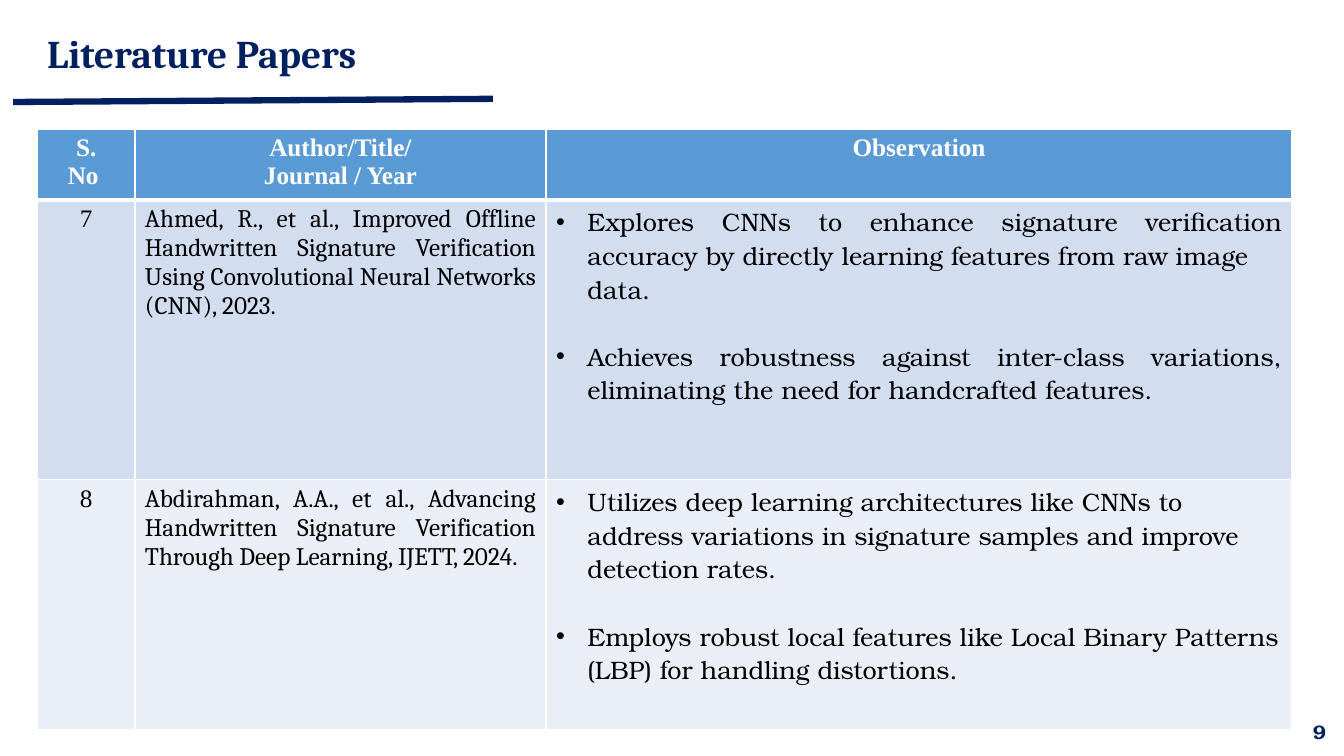
from lxml import etree
from pptx import Presentation
from pptx.dml.color import RGBColor
from pptx.enum.shapes import MSO_CONNECTOR
from pptx.enum.text import MSO_ANCHOR, PP_ALIGN
from pptx.oxml.ns import qn
from pptx.util import Cm, Pt

STRAIGHT = MSO_CONNECTOR.STRAIGHT
MIDDLE = MSO_ANCHOR.MIDDLE
LEFT, CENTER, RIGHT, JUSTIFY = (
    PP_ALIGN.LEFT, PP_ALIGN.CENTER, PP_ALIGN.RIGHT, PP_ALIGN.JUSTIFY)

COLORS = {
    "navy": "002060", "white": "FFFFFF", "black": "000000",
    "header": "5B9BD5", "odd": "D2DEEF", "even": "EAEFF7",
}
SERIF, HEADING, BODY = "Times New Roman", "Cambria", "TeX Gyre Bonum"
BULLET_INDENT = Cm(0.79)
BULLET_GAP = Pt(24)


def rgb(name):
    return RGBColor.from_string(COLORS[name])


class SlideBuilder:
    def __init__(self, slide):
        self.slide = slide

    def add_words(self, paragraph, words, font, size=18, color="black", bold=False,
                  **layout):
        run = paragraph.add_run()
        run.text = words
        for name, value in {"name": font, "size": Pt(size), "bold": bold}.items():
            setattr(run.font, name, value)
        run.font.color.rgb = rgb(color)
        for name, value in layout.items():
            setattr(paragraph, name, value)

    def label(self, box, words, font, size, **layout):
        frame = self.slide.shapes.add_textbox(*map(Cm, box)).text_frame
        frame.word_wrap = True
        frame.vertical_anchor = MIDDLE
        self.add_words(frame.paragraphs[0], words, font, size, "navy", True, **layout)

    def rule(self, start, end, width):
        line = self.slide.shapes.add_connector(STRAIGHT, *map(Cm, start + end))
        line.line.color.rgb = rgb("navy")
        line.line.width = Pt(width)
        etree.SubElement(line._element.spPr, qn("a:effectLst"))

    def table(self, corner, columns, rows):
        size = Cm(sum(columns)), Cm(sum(rows))
        grid = self.slide.shapes.add_table(
            len(rows), len(columns), *map(Cm, corner), *size).table
        for column, width in zip(grid.columns, columns):
            column.width = Cm(width)
        for row, height in zip(grid.rows, rows):
            row.height = Cm(height)
        return grid

    def style_cell(self, cell, fill, top=1, bottom=1):
        """Draw white borders, then fill the cell."""
        properties = cell._tc.get_or_add_tcPr()
        for side, points in {"L": 1, "R": 1, "T": top, "B": bottom}.items():
            border = etree.SubElement(properties, qn(f"a:ln{side}"), w=str(Pt(points)))
            solid = etree.SubElement(border, qn("a:solidFill"))
            etree.SubElement(solid, qn("a:srgbClr"), val=COLORS["white"])
        cell.fill.solid()
        cell.fill.fore_color.rgb = rgb(fill)

    def cell_lines(self, cell, lines, font, **style):
        frame = cell.text_frame
        for index, words in enumerate(lines):
            paragraph = frame.add_paragraph() if index else frame.paragraphs[0]
            self.add_words(paragraph, words, font, **style)

    def observations(self, cell, points, alignment):
        """Add bulleted points; later lines of a point continue its indent."""
        frame = cell.text_frame
        for number, lines in enumerate(points):
            for index, words in enumerate(lines):
                first = number == index == 0
                paragraph = frame.paragraphs[0] if first else frame.add_paragraph()
                self.add_words(paragraph, words, BODY, alignment=alignment)
                properties = paragraph._p.get_or_add_pPr()
                properties.set("marL", str(BULLET_INDENT))
                if index == 0:
                    properties.set("indent", str(-BULLET_INDENT))
                    if number:
                        paragraph.space_before = BULLET_GAP
                    etree.SubElement(properties, qn("a:buFont"), typeface="Arial")
                    etree.SubElement(properties, qn("a:buChar"), char="•")


HEADINGS = [["S.", "No "], ["Author/Title/", "Journal / Year"], ["Observation"]]
PAPERS = [
    ("7",
     "Ahmed, R., et al., Improved Offline Handwritten Signature Verification "
     "Using Convolutional Neural Networks (CNN), 2023.",
     [["Explores CNNs to enhance signature verification accuracy by directly "
       "learning features from raw image", "data."],
      ["Achieves robustness against inter-class variations, eliminating the "
       "need for handcrafted features."]],
     JUSTIFY, "odd"),
    ("8",
     "Abdirahman, A.A., et al., Advancing Handwritten Signature Verification "
     "Through Deep Learning, IJETT, 2024.",
     [["Utilizes deep learning architectures like CNNs to address variations "
       "in signature samples and improve detection rates."],
      ["Employs robust local features like Local Binary Patterns (LBP) for "
       "handling distortions."]],
     LEFT, "even"),
]


def main():
    deck = Presentation()
    deck.slide_width, deck.slide_height = Cm(33.87), Cm(19.05)
    page = SlideBuilder(deck.slides.add_slide(deck.slide_layouts[6]))

    page.rule((0.33, 2.57), (12.42, 2.49), 4.5)
    page.label((0.94, 0.58, 27.13, 1.65), "Literature Papers", HEADING, 28,
               line_spacing=0.9)
    page.label((26.04, 17.93, 7.62, 1.02), "9", BODY, 14, alignment=RIGHT)

    papers = page.table((0.95, 3.26), (2.45, 10.36, 18.8), (1.73, 7.05, 6.3))
    for column, lines in enumerate(HEADINGS):
        cell = papers.cell(0, column)
        page.style_cell(cell, "header", bottom=3)
        page.cell_lines(cell, lines, SERIF, color="white", bold=True, alignment=CENTER)
    for row, (number, citation, points, alignment, fill) in enumerate(PAPERS, 1):
        cells = [papers.cell(row, column) for column in range(3)]
        for cell in cells:
            page.style_cell(cell, fill, top=3 if row == 1 else 1)
        page.cell_lines(cells[0], [number], SERIF, alignment=CENTER)
        page.cell_lines(cells[1], [citation], HEADING, alignment=JUSTIFY)
        page.observations(cells[2], points, alignment)

    deck.save("out.pptx")


if __name__ == "__main__":
    main()
